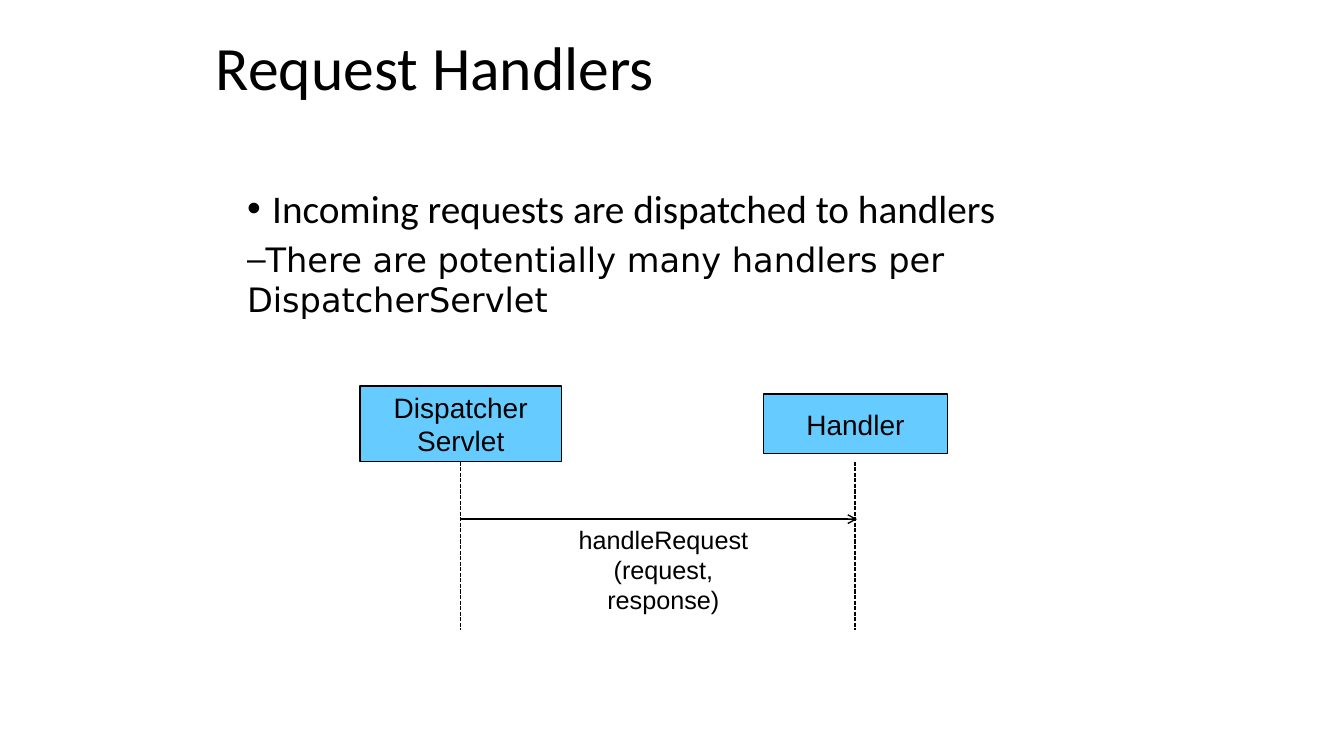
from lxml import etree
from pptx import Presentation
from pptx.dml.color import RGBColor
from pptx.enum.dml import MSO_LINE
from pptx.enum.shapes import MSO_CONNECTOR, MSO_SHAPE
from pptx.enum.text import MSO_ANCHOR, MSO_AUTO_SIZE, PP_ALIGN
from pptx.oxml.ns import qn
from pptx.util import Emu, Pt

PX = 9144  # 100 px to the inch
COLORS = {"ink": "000000", "box": "66CCFF", "paper": "FFFFFF"}
LEFT, CENTER = PP_ALIGN.LEFT, PP_ALIGN.CENTER
TOP, MIDDLE = MSO_ANCHOR.TOP, MSO_ANCHOR.MIDDLE
NO_FIT = MSO_AUTO_SIZE.NONE
RECTANGLE, STRAIGHT = MSO_SHAPE.RECTANGLE, MSO_CONNECTOR.STRAIGHT
DASHED = MSO_LINE.SQUARE_DOT
BOTTOM_SIDE = 2


def px(*lengths):
    return [Emu(length * PX) for length in lengths]


def color(name):
    return RGBColor.from_string(COLORS[name])


def apply(target, formats):
    for name, value in formats.items():
        setattr(target, name, value)


def place(shape, box):
    apply(shape, dict(zip(("left", "top", "width", "height"), px(*box))))


def write(frame, lines, anchor, align, margins=(10, 5)):
    """Fill a text frame; each line is (text, font, size, paragraph formats)."""
    side, edge = px(*margins)
    apply(frame, {"word_wrap": True, "auto_size": NO_FIT,
                  "vertical_anchor": anchor,
                  "margin_left": side, "margin_right": side,
                  "margin_top": edge, "margin_bottom": edge})
    for index, (text, font, size, formats) in enumerate(lines):
        para = frame.add_paragraph() if index else frame.paragraphs[0]
        apply(para, {"alignment": align, **formats})
        span = para.add_run()
        span.text = text
        apply(span.font, {"name": font, "size": Pt(size)})
        span.font.color.rgb = color("ink")


def add_bullet(para, mark, indent):
    props = para._p.get_or_add_pPr()
    props.set("marL", str(indent * PX))
    props.set("indent", str(-indent * PX))
    ink = etree.SubElement(props, qn("a:buClr"))
    etree.SubElement(ink, qn("a:srgbClr"), val=COLORS["ink"])
    etree.SubElement(props, qn("a:buFont"), typeface="Arial")
    etree.SubElement(props, qn("a:buChar"), char=mark)


def fill_title(page, box):
    title = page.shapes.title
    place(title, box)
    write(title.text_frame,
          [("Request Handlers", "Calibri", 44, {"line_spacing": 0.9})],
          TOP, LEFT)


def fill_body(page, box):
    body = page.placeholders[1]
    place(body, box)
    write(body.text_frame, [
        ("Incoming requests are dispatched to handlers", "Calibri", 28,
         {"line_spacing": 0.9, "space_before": Pt(10)}),
        ("There are potentially many handlers per DispatcherServlet",
         "DejaVu Sans", 24, {"level": 1, "space_before": Pt(5)}),
    ], TOP, LEFT)
    for para, bullet in zip(body.text_frame.paragraphs, (("•", 25), ("–", 0))):
        add_bullet(para, *bullet)


def add_participant(page, box, names):
    shape = page.shapes.add_shape(RECTANGLE, *px(*box))
    shape.shadow.inherit = False
    shape.fill.solid()
    shape.fill.fore_color.rgb = color("box")
    shape.line.color.rgb = color("ink")
    shape.line.width = Pt(1)
    write(shape.text_frame, [(name, "Arial", 20, {}) for name in names],
          MIDDLE, CENTER)
    return shape


def add_line(page, start, end):
    line = page.shapes.add_connector(STRAIGHT, *px(*start, *end))
    etree.SubElement(line._element.spPr, qn("a:effectLst"))
    line.line.color.rgb = color("ink")
    line.line.width = Pt(1)
    return line


def draw_sequence(page, box):
    left, top, width, height = box
    # Participants, centred on one height
    servlet = add_participant(page, (left, top, 200, 75),
                              ["Dispatcher", "Servlet"])
    add_participant(page, (left + width - 183, top + 8, 183, 59), ["Handler"])

    # Lifelines
    servlet_x, handler_x = left + 100, left + width - 92
    for x in (servlet_x, handler_x):
        lifeline = add_line(page, (x, top + 75), (x, top + height))
        lifeline.line.dash_style = DASHED
        if x == servlet_x:
            lifeline.begin_connect(servlet, BOTTOM_SIDE)

    # Message arrow and its label
    message_y = top + 132
    arrow = add_line(page, (servlet_x, message_y), (handler_x + 2, message_y))
    etree.SubElement(arrow.line._get_or_add_ln(), qn("a:tailEnd"), type="arrow")
    label = page.shapes.add_textbox(*px(left + 183, message_y, 236, 97))
    write(label.text_frame,
          [(text, "Arial", 18, {})
           for text in ("handleRequest", "(request, response)")],
          TOP, CENTER, margins=(20, 5))


def main():
    deck = Presentation()
    deck.slide_width, deck.slide_height = px(1333, 750)
    page = deck.slides.add_slide(deck.slide_layouts[1])
    page.background.fill.solid()
    page.background.fill.fore_color.rgb = color("paper")
    fill_title(page, (204, 32, 688, 77))
    fill_body(page, (235, 183, 860, 140))
    draw_sequence(page, (357, 383, 583, 242))
    deck.save("out.pptx")


if __name__ == "__main__":
    main()
